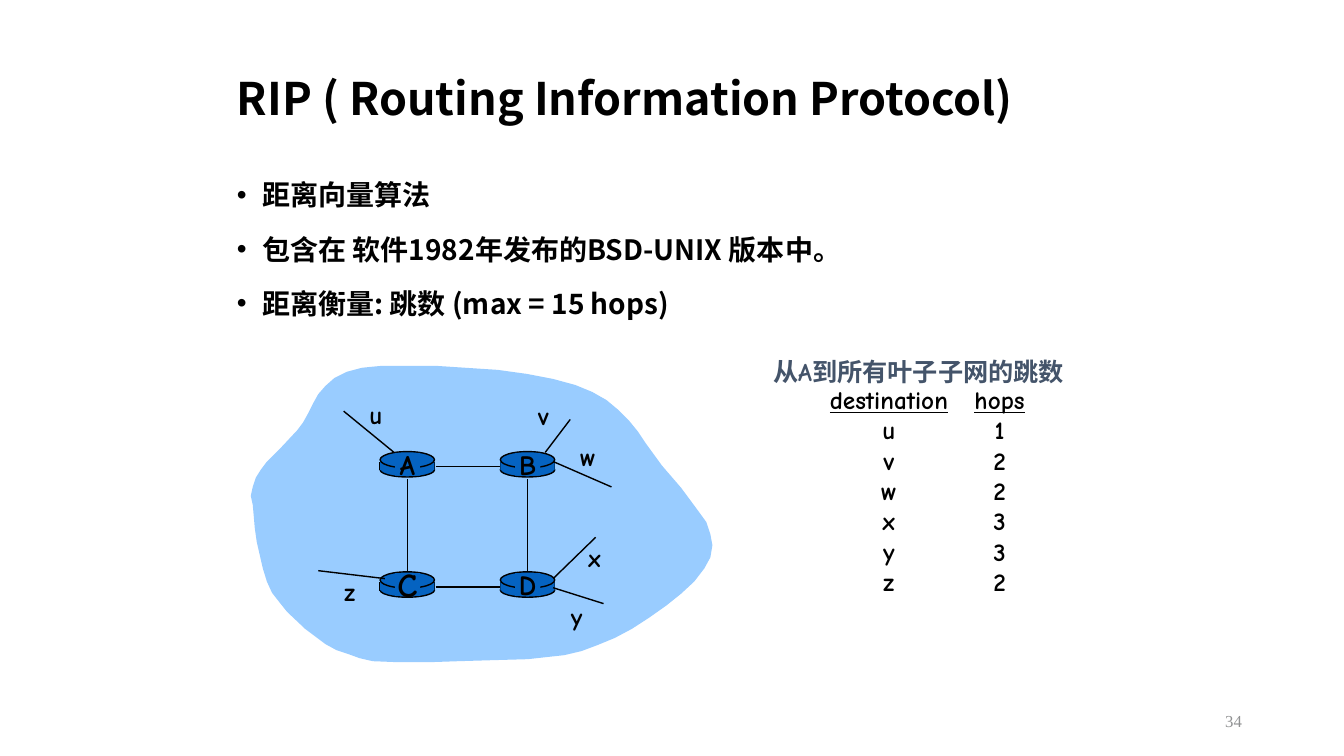
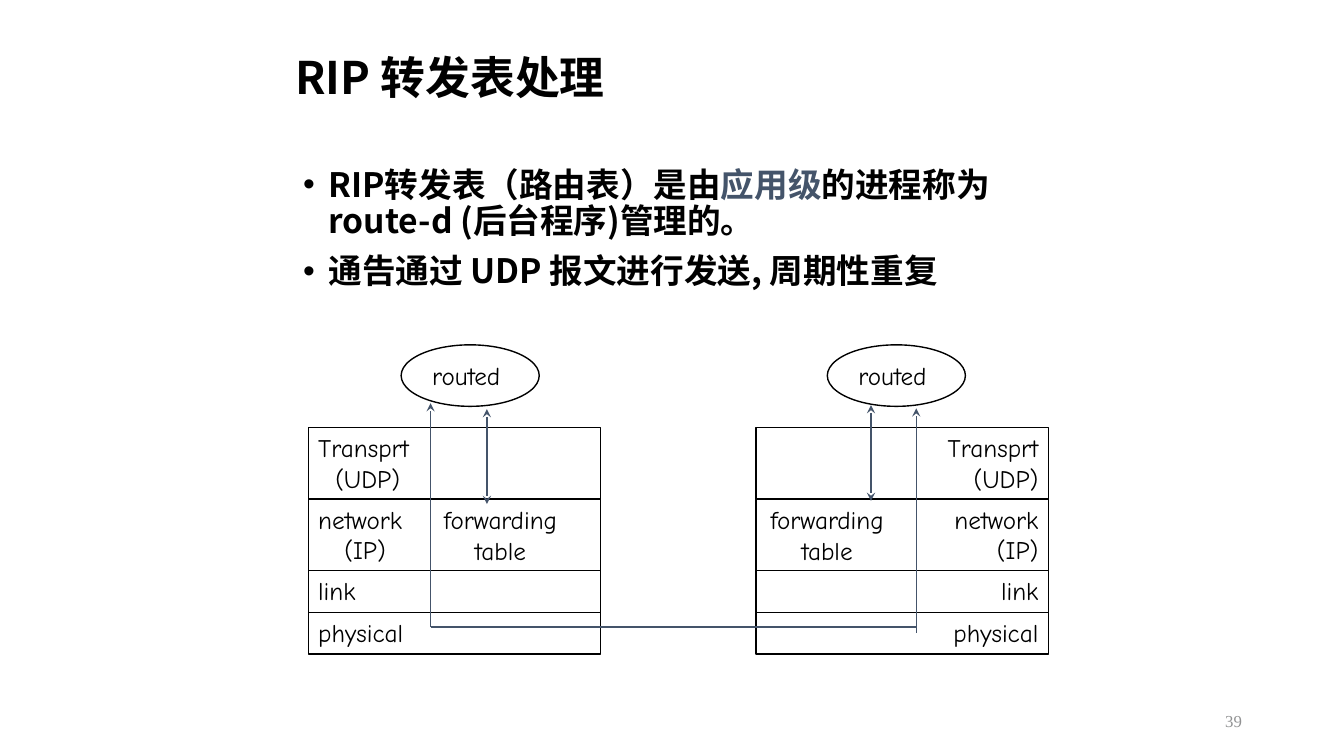
from itertools import accumulate

from lxml.etree import SubElement
from pptx import Presentation
from pptx.dml.color import RGBColor
from pptx.enum.shapes import MSO_CONNECTOR as Connector, MSO_SHAPE as Shape
from pptx.enum.text import MSO_ANCHOR as Anchor, PP_ALIGN as Align
from pptx.oxml.ns import qn
from pptx.util import Cm, Pt

COLORS = {"ink": "000000", "accent": "44546A", "router": "0563C1",
          "cloud": "99CCFF", "footer": "919293"}
HEADING_FONT = "Noto Sans CJK SC"
DIAGRAM_FONT = "Comic Neue"
FOOTER_FONT = "Times New Roman"

CLOUD_OUTLINE = [
    (0, 129), (2, 120), (5, 111), (10, 103), (16, 95), (31, 80), (46, 64), (52, 56),
    (57, 47), (62, 37), (67, 28), (74, 20), (83, 12), (95, 6), (110, 2), (119, 1),
    (130, 0), (184, 0), (214, 2), (245, 4), (274, 8), (300, 13), (322, 19), (339, 26),
    (353, 34), (365, 44), (375, 54), (384, 65), (392, 77), (408, 99), (427, 121),
    (444, 144), (452, 155), (456, 167), (458, 178), (456, 190), (450, 201), (440, 214),
    (427, 226), (412, 238), (395, 250), (378, 261), (361, 270), (344, 277), (328, 283),
    (311, 287), (293, 289), (275, 291), (239, 292), (206, 293), (176, 294), (147, 294),
    (121, 293), (108, 290), (97, 286), (85, 282), (74, 276), (54, 261), (36, 244),
    (28, 234), (21, 225), (16, 214), (12, 201), (6, 175), (4, 161), (2, 138),
]
ROUTERS = [("A", 0, 0, 20), ("B", 1, 0, 20), ("C", 0, 1, 24), ("D", 1, 1, 20)]
SUBNETS = [
    ("u", (3.61, 2.18), (2.34, 1.14), (2.74, 0.71)),
    ("v", (7.42, 2.18), (8.05, 1.35), (6.99, 0.74)),
    ("w", (7.62, 2.41), (9.09, 3.05), (8.05, 1.78)),
    ("x", (7.62, 5.36), (8.69, 4.32), (8.26, 4.32)),
    ("y", (7.62, 5.59), (8.89, 5.99), (7.82, 5.82)),
    ("z", (3.38, 5.36), (1.70, 5.16), (2.11, 5.18)),
]
HOPS = [("destination", "hops"), ("u", "1"), ("v", "2"), ("w", "2"),
        ("x", "3"), ("y", "3"), ("z", "2")]
LAYERS = [(1.8, ["Transprt", "(UDP)"], 0.43), (1.8, ["network", "(IP)"], 0.66),
          (1.05, ["link"], 0), (1.05, ["physical"], 0)]
PHYSICAL_LINK = 5.02


def color(name):
    return RGBColor.from_string(COLORS[name])


def write(frame, lines, size, font=DIAGRAM_FONT, ink="ink", bold=False, underline=None,
          align=Align.LEFT, spacing=None, before=0, bullet=False, indents=()):
    for index, line in enumerate(lines):
        paragraph = frame.paragraphs[0] if index == 0 else frame.add_paragraph()
        paragraph.alignment = align
        if spacing:
            paragraph.line_spacing = spacing
        if before and index:
            paragraph.space_before = Pt(before)
        properties = paragraph._p.get_or_add_pPr()
        if index < len(indents):
            properties.set("marL", str(Cm(indents[index])))
        if bullet:
            properties.set("marL", str(Cm(0.64)))
            properties.set("indent", str(-Cm(0.64)))
            SubElement(properties, qn("a:buFont"), typeface="Arial")
            SubElement(properties, qn("a:buChar"), char="•")
        style = paragraph.font
        style.name, style.size, style.bold = font, Pt(size), bold
        style.underline = underline
        style.color.rgb = color(ink)
        latin = properties.find(qn("a:defRPr")).find(qn("a:latin"))
        east_asian = latin.makeelement(qn("a:ea"), {"typeface": HEADING_FONT})
        latin.addnext(east_asian)
        for part in [line] if isinstance(line, str) else line:
            text, run_color = (part, None) if isinstance(part, str) else part
            run = paragraph.add_run()
            run.text = text
            if run_color:
                run.font.color.rgb = color(run_color)


def add_text(slide, box, lines, size, anchor=Anchor.TOP, wrap=True, **style):
    frame = slide.shapes.add_textbox(*map(Cm, box)).text_frame
    frame.word_wrap = wrap
    frame.vertical_anchor = anchor
    write(frame, lines, size, **style)


def paint(shape, fill=None, outlined=True):
    shape.shadow.inherit = False
    if fill:
        shape.fill.solid()
        shape.fill.fore_color.rgb = color(fill)
    else:
        shape.fill.background()
    if outlined:
        shape.line.color.rgb = color("ink")
        shape.line.width = Pt(1)
    else:
        shape.line.fill.background()


def add_shape(slide, kind, box, fill=None, outlined=True):
    shape = slide.shapes.add_shape(kind, *map(Cm, box))
    paint(shape, fill, outlined)
    return shape


def add_line(slide, start, end, ink="ink", heads=()):
    line = slide.shapes.add_connector(Connector.STRAIGHT, *map(Cm, (*start, *end)))
    line.line.color.rgb = color(ink)
    line.line.width = Pt(1)
    for head in heads:
        SubElement(line.line._get_or_add_ln(), qn(f"a:{head}"), type="stealth")
    SubElement(line._element.spPr, qn("a:effectLst"))


def add_page(presentation, number, title, title_box):
    slide = presentation.slides.add_slide(presentation.slide_layouts[6])
    add_text(slide, title_box, [title], 32, Anchor.MIDDLE, font=HEADING_FONT,
             bold=True, spacing=0.9)
    add_text(slide, (23.93, 17.65, 7.62, 1.02), [number], 12, Anchor.MIDDLE,
             font=FOOTER_FONT, ink="footer", align=Align.RIGHT)
    return slide


def add_bullets(slide, box, lines, size, spacing):
    add_text(slide, box, lines, size, font=HEADING_FONT, bold=True,
             spacing=spacing, before=10, bullet=True)


def add_router(slide, left, top, name, size):
    width = 1.37
    add_shape(slide, Shape.OVAL, (left, top + 0.28, width, 0.36), "router")
    for side in (left, left + width):
        add_line(slide, (side, top + 0.25), (side, top + 0.47))
    add_shape(slide, Shape.RECTANGLE, (left, top + 0.25, width, 0.22), "router", False)
    add_shape(slide, Shape.OVAL, (left, top, width, 0.41), "router")
    plate = add_shape(slide, Shape.RECTANGLE, (left + 0.37, top + 0.03, 0.64, 0.58),
                      "router", False)
    frame = plate.text_frame
    frame.word_wrap = False
    frame.vertical_anchor = Anchor.MIDDLE
    frame.margin_left = frame.margin_right = frame.margin_top = frame.margin_bottom = 0
    write(frame, [name], size, bold=True, align=Align.CENTER)


def add_network(slide, left, top):
    builder = slide.shapes.build_freeform(*CLOUD_OUTLINE[0], scale=Cm(2.54) / 100)
    builder.add_line_segments(CLOUD_OUTLINE[1:], close=True)
    paint(builder.convert_to_shape(Cm(left), Cm(top)), "cloud", False)

    pitch = 3.03
    first_x, first_y = left + 3.26, top + 2.16
    for name, column, row, size in ROUTERS:
        add_router(slide, first_x + column * pitch, first_y + row * pitch, name, size)
    for step in (0, pitch):
        wire_x, wire_y = first_x + step + 0.69, first_y + step + 0.38
        add_line(slide, (first_x + 1.4, wire_y), (first_x + pitch, wire_y))
        add_line(slide, (wire_x, first_y + 0.7), (wire_x, first_y + pitch))
    for name, start, end, label in SUBNETS:
        add_line(slide, (left + start[0], top + start[1]), (left + end[0], top + end[1]))
        add_text(slide, (left + label[0], top + label[1], 0.9, 1), [name], 18,
                 wrap=False, bold=True)


def add_hop_table(slide, left, top):
    widths, row_height = (3.3, 2.28), 0.76
    table = slide.shapes.add_table(len(HOPS), 2, Cm(left), Cm(top), Cm(sum(widths)),
                                   Cm(row_height * len(HOPS))).table
    table.first_row = table.horz_banding = False
    for column, width in zip(table.columns, widths):
        column.width = Cm(width)
    for row_index, values in enumerate(HOPS):
        table.rows[row_index].height = Cm(row_height)
        for column_index, value in enumerate(values):
            cell = table.cell(row_index, column_index)
            cell.fill.background()
            cell.margin_left = cell.margin_right = cell.margin_top = cell.margin_bottom = 0
            write(cell.text_frame, [value], 18, bold=True, underline=row_index == 0,
                  align=Align.CENTER)


def add_host(slide, left, top, align, oval_x, table_x, process, lookup):
    heights = [height for height, _, _ in LAYERS]
    offsets = accumulate(heights, initial=0)
    for (height, lines, indent), offset in zip(LAYERS, offsets):
        layer = add_shape(slide, Shape.RECTANGLE, (left, top + offset, 7.37, height))
        layer.text_frame.vertical_anchor = Anchor.TOP
        write(layer.text_frame, lines, 18, align=align,
              indents=(0, indent) if align == Align.LEFT else ())
    add_text(slide, (left + table_x, top + heights[0], 3.43, heights[1]),
             ["forwarding", "table"], 18, Anchor.MIDDLE, False, align=Align.CENTER)

    oval = add_shape(slide, Shape.OVAL, (left + oval_x, top - 2.09, 3.48, 1.55))
    frame = oval.text_frame
    frame.word_wrap = False
    frame.vertical_anchor = Anchor.MIDDLE
    frame.margin_left, frame.margin_right = 0, Cm(0.2)
    write(frame, ["routed"], 18, align=Align.CENTER)

    for (x, start, end), heads in ((process, ["tailEnd"]),
                                   (lookup, ["headEnd", "tailEnd"])):
        add_line(slide, (left + x, top + start), (left + x, top + end), "accent", heads)
    return left + process[0], top + PHYSICAL_LINK


def build_protocol_slide(presentation):
    slide = add_page(presentation, "34", "RIP ( Routing Information Protocol)",
                     (5.72, 1.35, 22.71, 2.41))
    add_bullets(slide, (5.72, 4.19, 22.86, 4.7),
                ["距离向量算法", "包含在 软件1982年发布的BSD-UNIX 版本中。",
                 "距离衡量: 跳数 (max = 15 hops)"], 20, 1.2)
    add_network(slide, 6.32, 9.22)
    add_text(slide, (16.66, 8.86, 12.98, 1.02), ["从A到所有叶子子网的跳数"], 18,
             ink="accent", bold=True, align=Align.CENTER)
    add_hop_table(slide, 20.75, 9.75)


def build_forwarding_slide(presentation):
    slide = add_page(presentation, "39", "RIP 转发表处理", (7.19, 1.04, 18.54, 1.96))
    add_bullets(slide, (7.39, 4.11, 18.54, 4),
                [["RIP转发表（路由表）是由", ("应用级", "accent"),
                  "的进程称为 route-d (后台程序)管理的。"],
                 "通告通过 UDP 报文进行发送, 周期性重复"], 24, 0.9)
    sender = add_host(slide, 7.77, 10.78, Align.LEFT, 2.34, 3.13,
                      process=(3.08, PHYSICAL_LINK, -0.62), lookup=(4.5, -0.47, 1.92))
    receiver = add_host(slide, 19.05, 10.78, Align.RIGHT, 1.8, 0.08,
                        process=(4.04, 5.17, -0.49), lookup=(2.9, -0.57, 1.84))
    add_line(slide, sender, receiver, "accent")


def main():
    presentation = Presentation()
    presentation.slide_width, presentation.slide_height = Cm(33.87), Cm(19.05)
    build_protocol_slide(presentation)
    build_forwarding_slide(presentation)
    presentation.save("out.pptx")


if __name__ == "__main__":
    main()
